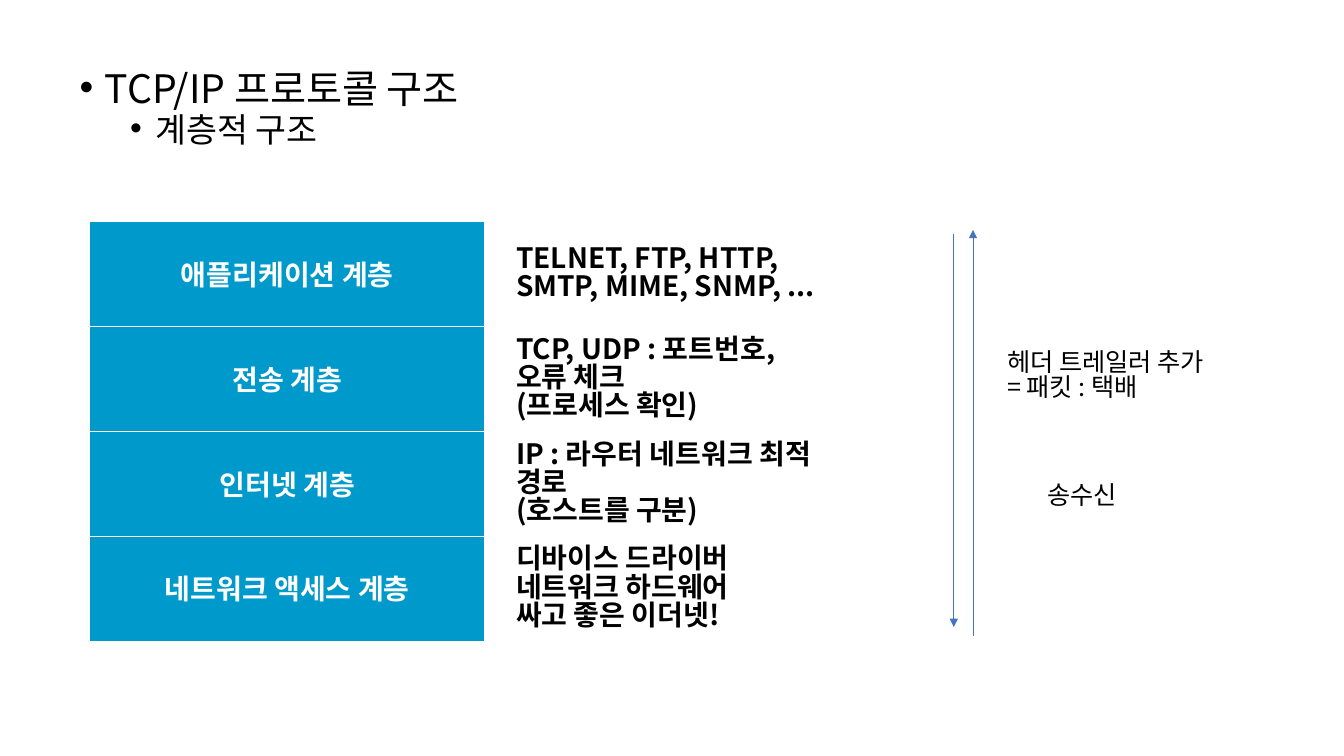
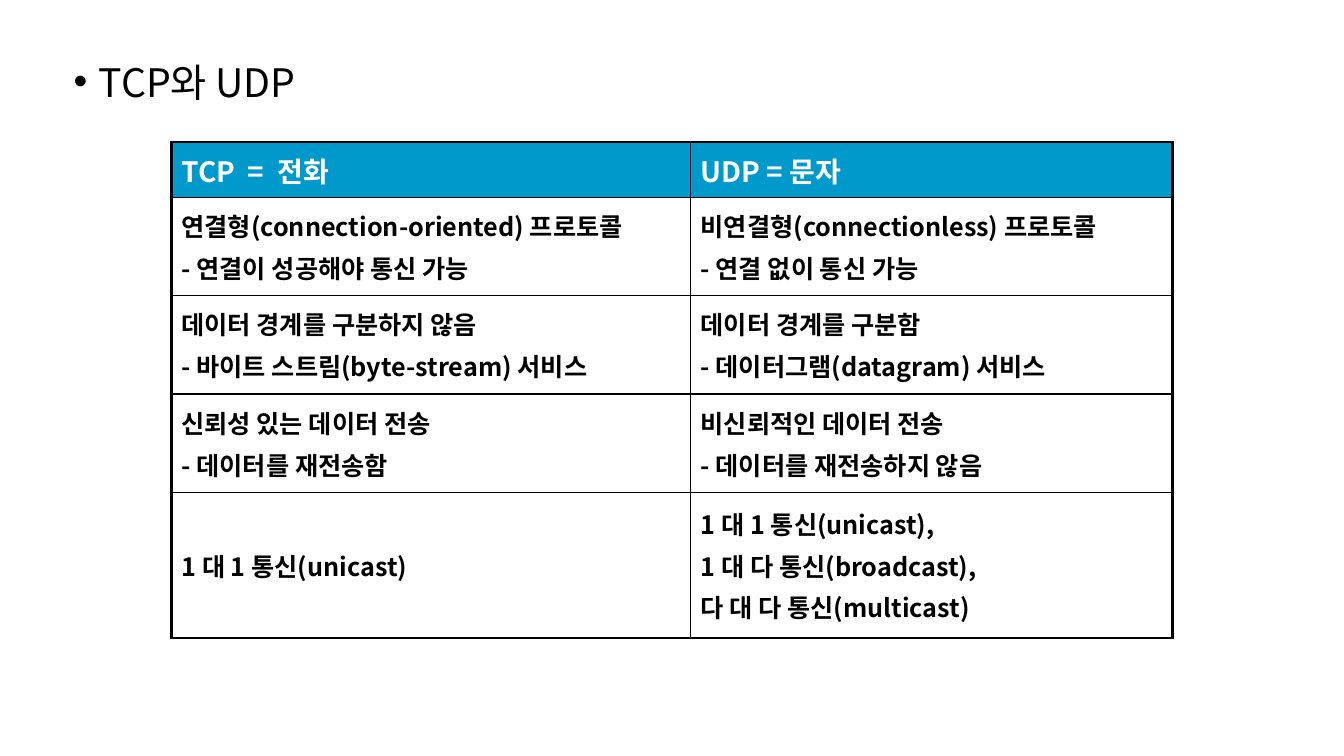
from lxml.etree import SubElement
from pptx import Presentation
from pptx.dml.color import RGBColor
from pptx.enum.shapes import MSO_CONNECTOR as Link, MSO_SHAPE as Preset
from pptx.enum.text import MSO_ANCHOR as Anchor, MSO_AUTO_SIZE as Fit, PP_ALIGN as Align
from pptx.oxml.ns import qn
from pptx.util import Inches, Pt

FONT = "Noto Sans CJK KR"
BLUE, ARROW, BLACK, WHITE = "0099CC", "4472C4", "000000", "FFFFFF"
TIGHT = 0.84


def color(code):
    return RGBColor.from_string(code)


class Deck:
    """Hold the shared style and the current slide, and draw its elements."""

    def __init__(self):
        self.show = Presentation()
        self.show.slide_width, self.show.slide_height = Inches(13.33), Inches(7.5)

    def start(self):
        self.slide = self.show.slides.add_slide(self.show.slide_layouts[1])
        title = self.slide.shapes.title
        title._element.getparent().remove(title._element)

    def fill_text(self, frame, text, size, ink=BLACK, bold=False, align=Align.LEFT, spacing=None, before=0):
        frame.text = text
        for paragraph in frame.paragraphs:
            paragraph.alignment = align
            paragraph.line_spacing = spacing
            paragraph.space_before = Pt(before)
            for run in paragraph.runs:
                self.style(run.font, size, ink, bold)

    def style(self, font, size, ink, bold):
        font.name, font.size, font.bold = FONT, Pt(size), bold
        font.color.rgb = color(ink)
        SubElement(font._element, qn("a:ea"), typeface=FONT)

    def bullets(self, left, top, text):
        body = self.slide.placeholders[1]
        body.left, body.top, body.width, body.height = map(Inches, (left, top, 9.5, 5.44))
        frame = body.text_frame
        frame.auto_size = Fit.NONE
        self.fill_text(frame, text, 28, spacing=0.9 * TIGHT)
        for level, paragraph in enumerate(frame.paragraphs):
            paragraph.level = level
            paragraph.space_before = Pt(5 if level else 10)
            for run in paragraph.runs:
                run.font.size = Pt(28 - 4 * level)
            props = paragraph._p.get_or_add_pPr()
            props.set("marL", str(Inches(0.25 + 0.5 * level)))
            props.set("indent", str(Inches(-0.25)))
            SubElement(props, qn("a:buFont"), typeface="Arial")
            SubElement(props, qn("a:buChar"), char="•")

    def block(self, left, top, width, height, text):
        box = self.slide.shapes.add_shape(Preset.RECTANGLE, *map(Inches, (left, top, width, height)))
        box.shadow.inherit = False
        box.fill.solid()
        box.fill.fore_color.rgb = color(BLUE)
        box.line.color.rgb = color(WHITE)
        box.line.width = Pt(0.75)
        box.text_frame.word_wrap = False
        box.text_frame.vertical_anchor = Anchor.MIDDLE
        self.fill_text(box.text_frame, text, 20, WHITE, True, Align.CENTER)

    def label(self, left, top, width, height, text, size=18, bold=False, anchor=Anchor.TOP, wrap=True):
        frame = self.slide.shapes.add_textbox(*map(Inches, (left, top, width, height))).text_frame
        frame.word_wrap = wrap
        frame.vertical_anchor = anchor
        self.fill_text(frame, text, size, bold=bold, spacing=TIGHT)

    def arrow(self, x, start, end):
        line = self.slide.shapes.add_connector(Link.STRAIGHT, *map(Inches, (x, start, x, end)))
        line.line.color.rgb = color(ARROW)
        line.line.width = Pt(0.5)
        SubElement(line.line._get_or_add_ln(), qn("a:tailEnd"), type="triangle")
        SubElement(line._element.spPr, qn("a:effectLst"))

    def table(self, left, top, widths, heights, rows):
        area = map(Inches, (left, top, sum(widths), sum(heights)))
        grid = self.slide.shapes.add_table(len(rows), len(widths), *area).table
        for column, width in zip(grid.columns, widths):
            column.width = Inches(width)
        for r, (height, texts) in enumerate(zip(heights, rows)):
            grid.rows[r].height = Inches(height)
            for c, text in enumerate(texts):
                cell = grid.cell(r, c)
                cell.vertical_anchor = Anchor.MIDDLE
                if r == 0:
                    cell.fill.solid()
                    cell.fill.fore_color.rgb = color(BLUE)
                    self.fill_text(cell.text_frame, text, 20, WHITE, True, before=4)
                else:
                    cell.fill.background()
                    self.fill_text(cell.text_frame, text, 18, BLACK, True, before=3.6)
                self.borders(cell, {"L": c == 0, "R": c == len(widths) - 1,
                                    "T": r == 0, "B": r == len(rows) - 1})

    def borders(self, cell, outer):
        props = cell._tc.get_or_add_tcPr()
        for place, (side, thick) in enumerate(outer.items()):
            edge = SubElement(props, qn("a:ln" + side), w=str(Pt(2.25 if thick else 1)))
            SubElement(SubElement(edge, qn("a:solidFill")), qn("a:srgbClr"), val=BLACK)
            props.insert(place, edge)


LAYERS = [
    ("애플리케이션 계층", "TELNET, FTP, HTTP,\nSMTP, MIME, SNMP, ..."),
    ("전송 계층", "TCP, UDP : 포트번호, 오류 체크\n(프로세스 확인)"),
    ("인터넷 계층", "IP : 라우터 네트워크 최적 경로\n(호스트를 구분)"),
    ("네트워크 액세스 계층", "디바이스 드라이버\n네트워크 하드웨어\n싸고 좋은 이더넷!"),
]
COMPARISON = [
    ("TCP  =  전화", "UDP = 문자"),
    ("연결형(connection-oriented) 프로토콜\n- 연결이 성공해야 통신 가능",
     "비연결형(connectionless) 프로토콜\n- 연결 없이 통신 가능"),
    ("데이터 경계를 구분하지 않음\n- 바이트 스트림(byte-stream) 서비스",
     "데이터 경계를 구분함\n- 데이터그램(datagram) 서비스"),
    ("신뢰성 있는 데이터 전송\n- 데이터를 재전송함",
     "비신뢰적인 데이터 전송\n- 데이터를 재전송하지 않음"),
    ("1 대 1 통신(unicast)",
     "1 대 1 통신(unicast),\n1 대 다 통신(broadcast),\n다 대 다 통신(multicast)"),
]

deck = Deck()

deck.start()
deck.bullets(0.69, 0.7, "TCP/IP 프로토콜 구조\n계층적 구조")
for index, (layer, protocols) in enumerate(LAYERS):
    layer_top = 2.2 + 1.04 * index
    deck.block(0.89, layer_top, 3.92, 1.04, layer)
    deck.label(5.02, layer_top, 3.33, 1.04, protocols, 20, True, Anchor.MIDDLE, False)
deck.arrow(9.46, 2.32, 6.22)
deck.arrow(9.65, 6.31, 2.28)
deck.label(9.89, 3.43, 2.56, 1.01, "헤더 트레일러 추가\n= 패킷 : 택배")
deck.label(10.29, 4.75, 1.16, 0.4, "송수신")

deck.start()
deck.bullets(0.63, 0.64, "TCP와 UDP")
deck.table(1.7, 1.41, (5.15, 4.78), (0.55, 0.97, 0.98, 0.98, 1.44), COMPARISON)

deck.show.save("out.pptx")
